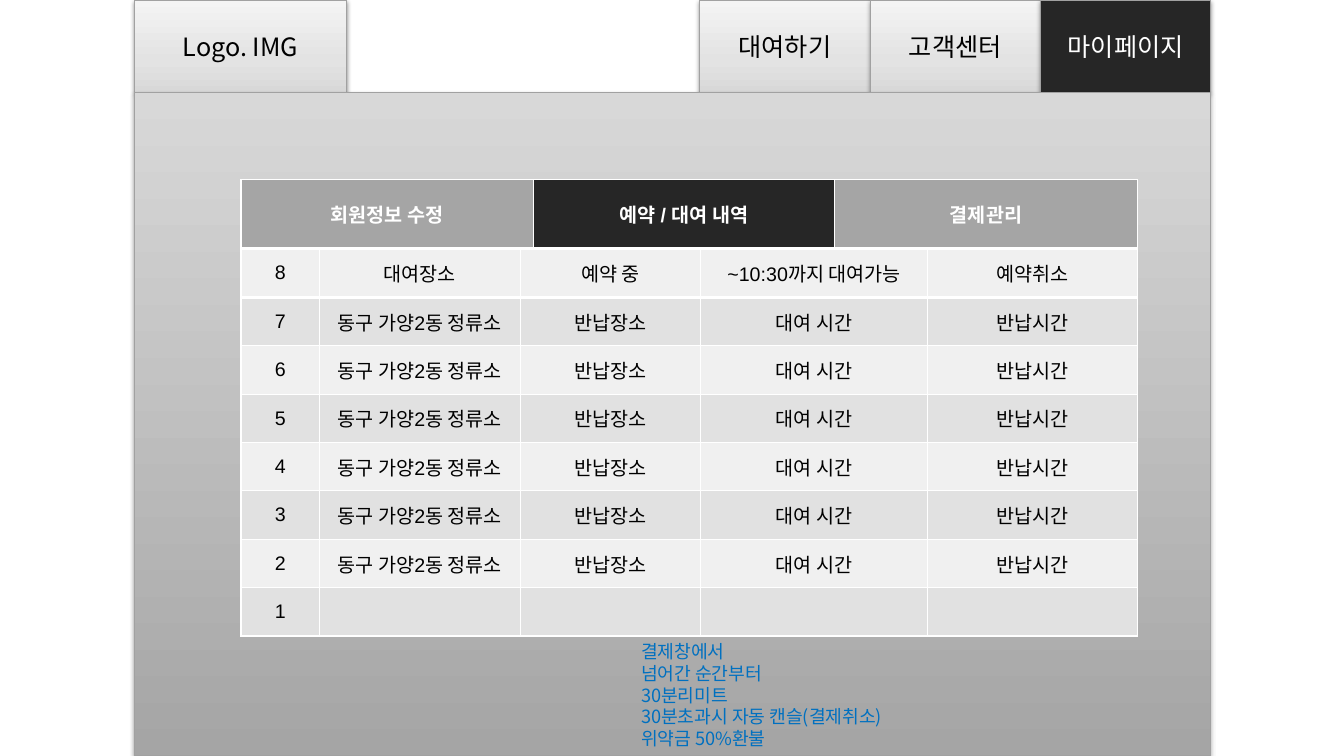
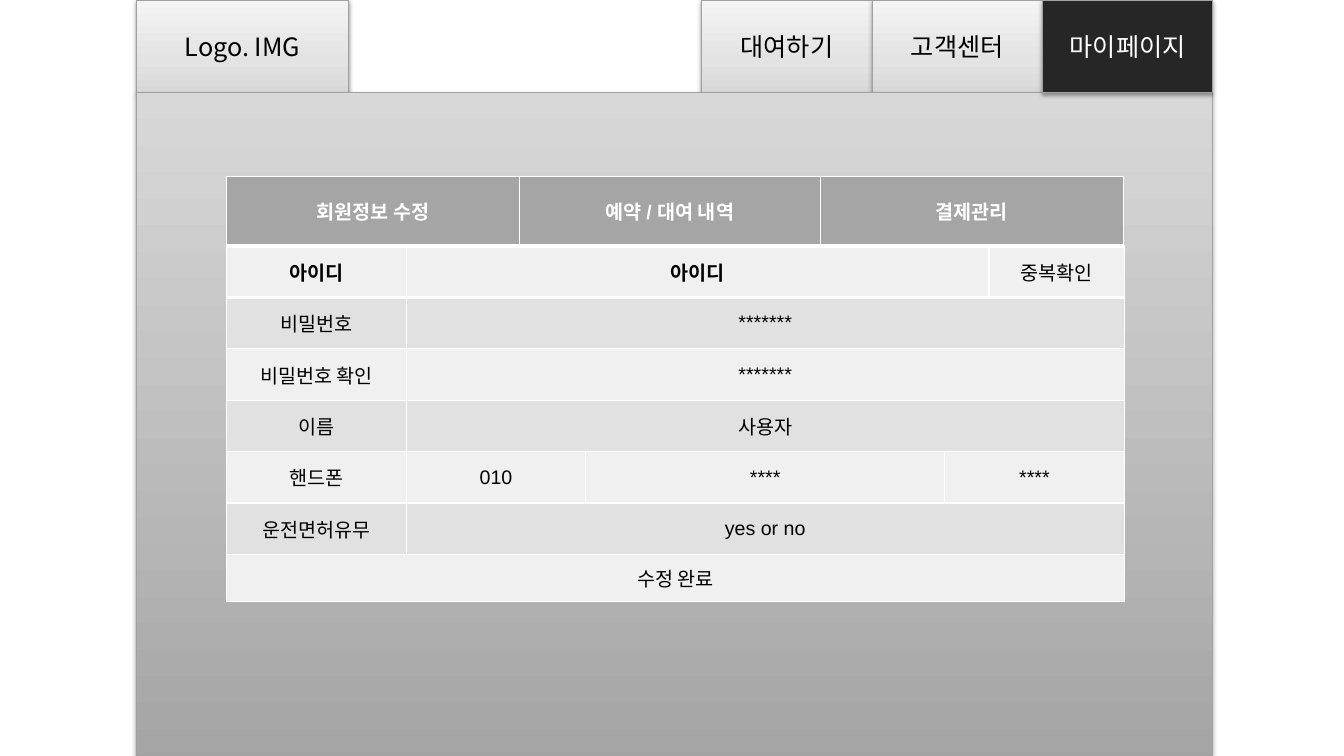
from pptx import Presentation
from pptx.dml.color import RGBColor
from pptx.enum.shapes import MSO_SHAPE
from pptx.enum.text import MSO_ANCHOR as ANCHOR, PP_ALIGN as ALIGN
from pptx.oxml import parse_xml
from pptx.util import Inches, Pt

rgb = RGBColor.from_string
NS = 'xmlns:a="http://schemas.openxmlformats.org/drawingml/2006/main"'
KOREAN = "Noto Sans CJK KR"
WHITE, BLACK, DARK, GRAY, EDGE, BLUE = "FFFFFF", "000000", "262626", "A5A5A5", "A1A1A1", "0070C0"
BANDS = ["F0F0F0", "E1E1E1"]
BUTTON = [(0, "D8D8D8"), (35, "E3E3E3"), (100, "F4F4F4")]
PANEL = [(0, GRAY), (100, "D8D8D8")]


def add_xml(parent, tag, attrs, body):
    parent.append(parse_xml(f"<a:{tag} {NS} {attrs}>{body}</a:{tag}>"))


def write(tf, text, size=14, font="Arial", color=BLACK, bold=False, align=ALIGN.CENTER):
    for i, line in enumerate(text.split("\n")):
        p = tf.add_paragraph() if i else tf.paragraphs[0]
        p.alignment = align
        r = p.add_run()
        r.text = line
        r.font.size, r.font.name, r.font.bold = Pt(size), font, bold
        r.font.color.rgb = rgb(color)
        add_xml(r.font._element, "ea", f'typeface="{KOREAN}"', "")


W, H = 13.33, 7.5
prs = Presentation()
prs.slide_width, prs.slide_height = Inches(W), Inches(H)

BAR_H, TAB_W, LOGO_W, PANEL_W = 0.92, 1.69, 2.11, 10.68
HEAD_H = 0.69
HEAD_COLS = [2.9, 2.99, 3]
HEAD_ROW = [["회원정보 수정", "예약 / 대여 내역", "결제관리"]]

rental_rows = [["8", "대여장소", "예약 중", "~10:30까지 대여가능", "예약취소"]]
rental_rows += [[str(n), "동구 가양2동 정류소", "반납장소", "대여 시간", "반납시간"]
                for n in range(7, 1, -1)]
rental_rows += [["1", "", "", "", ""]]

member_rows = [
    ["아이디", "아이디", None, None, "중복확인"],
    ["비밀번호", "*******", None, None, None],
    ["비밀번호 확인", "*******", None, None, None],
    ["이름", "사용자", None, None, None],
    ["핸드폰", "010", "****", "****", None],
    ["운전면허유무", "yes or no", None, None, None],
    ["수정 완료", None, None, None, None],
]

rental_head = (1.78, HEAD_COLS, [HEAD_H], HEAD_ROW, [GRAY, DARK, GRAY])
rental_body = (1.78 + HEAD_H, [0.78, 1.99, 1.79, 2.25, 2.08], [0.48] * 8, rental_rows, None)
member_head = (1.75, HEAD_COLS, [HEAD_H], HEAD_ROW, [GRAY] * 3)
member_body = (1.75 + HEAD_H, [1.78, 1.78, 3.56, 0.44, 1.34], [0.51] * 6 + [0.47], member_rows, None)

pages = [
    (1.33, 2.39, [rental_head, rental_body], False),
    (1.35, 2.25, [member_body, member_head], True),
]

for left, table_left, tables, active_on_top in pages:
    s = prs.slides.add_slide(prs.slide_layouts[6])

    tabs_left = left + PANEL_W - 3 * TAB_W
    boxes = [(tabs_left + i * TAB_W, 0, TAB_W, BAR_H, name, fill)
             for i, (name, fill) in enumerate(
                 [("대여하기", BUTTON), ("고객센터", BUTTON), ("마이페이지", DARK)])]
    boxes += [(left, 0, LOGO_W, BAR_H, "Logo. IMG", BUTTON),
              (left, BAR_H, PANEL_W, H - BAR_H, "", PANEL)]
    if active_on_top:
        boxes.append(boxes.pop(2))

    for x, y, w, h, text, fill in boxes:
        sp = s.shapes.add_shape(MSO_SHAPE.RECTANGLE, Inches(x), Inches(y), Inches(w), Inches(h))
        spPr = sp._element.spPr
        if fill == DARK:
            sp.fill.solid()
            sp.fill.fore_color.rgb = rgb(fill)
        else:
            stops = "".join(f'<a:gs pos="{pos * 1000}"><a:srgbClr val="{c}"/></a:gs>' for pos, c in fill)
            add_xml(spPr, "gradFill", 'rotWithShape="1"',
                    f'<a:gsLst>{stops}</a:gsLst><a:lin ang="16200000" scaled="0"/>')
        sp.line.color.rgb = rgb(EDGE)
        sp.line.width = Pt(0.75)
        add_xml(spPr, "effectLst", "",
                '<a:outerShdw blurRad="40000" dist="20000" dir="5400000" rotWithShape="0">'
                f'<a:srgbClr val="{BLACK}"><a:alpha val="38000"/></a:srgbClr></a:outerShdw>')
        if text:
            sp.text_frame.vertical_anchor = ANCHOR.MIDDLE
            write(sp.text_frame, text, size=18, font=KOREAN, color=WHITE if fill == DARK else BLACK)

    for top, cols, heights, rows, head_fills in tables:
        table = s.shapes.add_table(len(rows), len(cols), Inches(table_left), Inches(top),
                                   Inches(sum(cols)), Inches(sum(heights))).table
        for col, w in zip(table.columns, cols):
            col.width = Inches(w)
        for i, (row, h) in enumerate(zip(rows, heights)):
            table.rows[i].height = Inches(h)
            for j, text in enumerate(row):
                cell = table.cell(i, j)
                cell.vertical_anchor = ANCHOR.MIDDLE
                for side in "LRTB":
                    width = Pt(3 if side == "B" and i == 0 else 1)
                    add_xml(cell._tc.get_or_add_tcPr(), f"ln{side}", f'w="{width}"',
                            f'<a:solidFill><a:srgbClr val="{WHITE}"/></a:solidFill>')
                cell.fill.solid()
                cell.fill.fore_color.rgb = rgb(head_fills[j] if head_fills else BANDS[i % 2])
                if text:
                    write(cell.text_frame, text, color=WHITE if head_fills else BLACK,
                          bold=bool(head_fills) or text == "아이디")
            starts = [j for j, text in enumerate(row) if text is not None] + [len(row)]
            for first, after in zip(starts, starts[1:]):
                if after - first > 1:
                    table.cell(i, first).merge(table.cell(i, after - 1))

NOTE_TOP = 6.35
note = prs.slides[0].shapes.add_textbox(Inches(6.26), Inches(NOTE_TOP), Inches(5.28), Inches(H - NOTE_TOP))
tf = note.text_frame
tf.word_wrap = True
tf.margin_left = tf.margin_right = Inches(0.1)
tf.margin_top = tf.margin_bottom = 0
write(tf, "결제창에서\n넘어간 순간부터\n30분리미트\n30분초과시 자동 캔슬(결제취소)\n위약금 50%환불",
      size=13, font=KOREAN, color=BLUE, align=ALIGN.LEFT)

prs.save("out.pptx")
